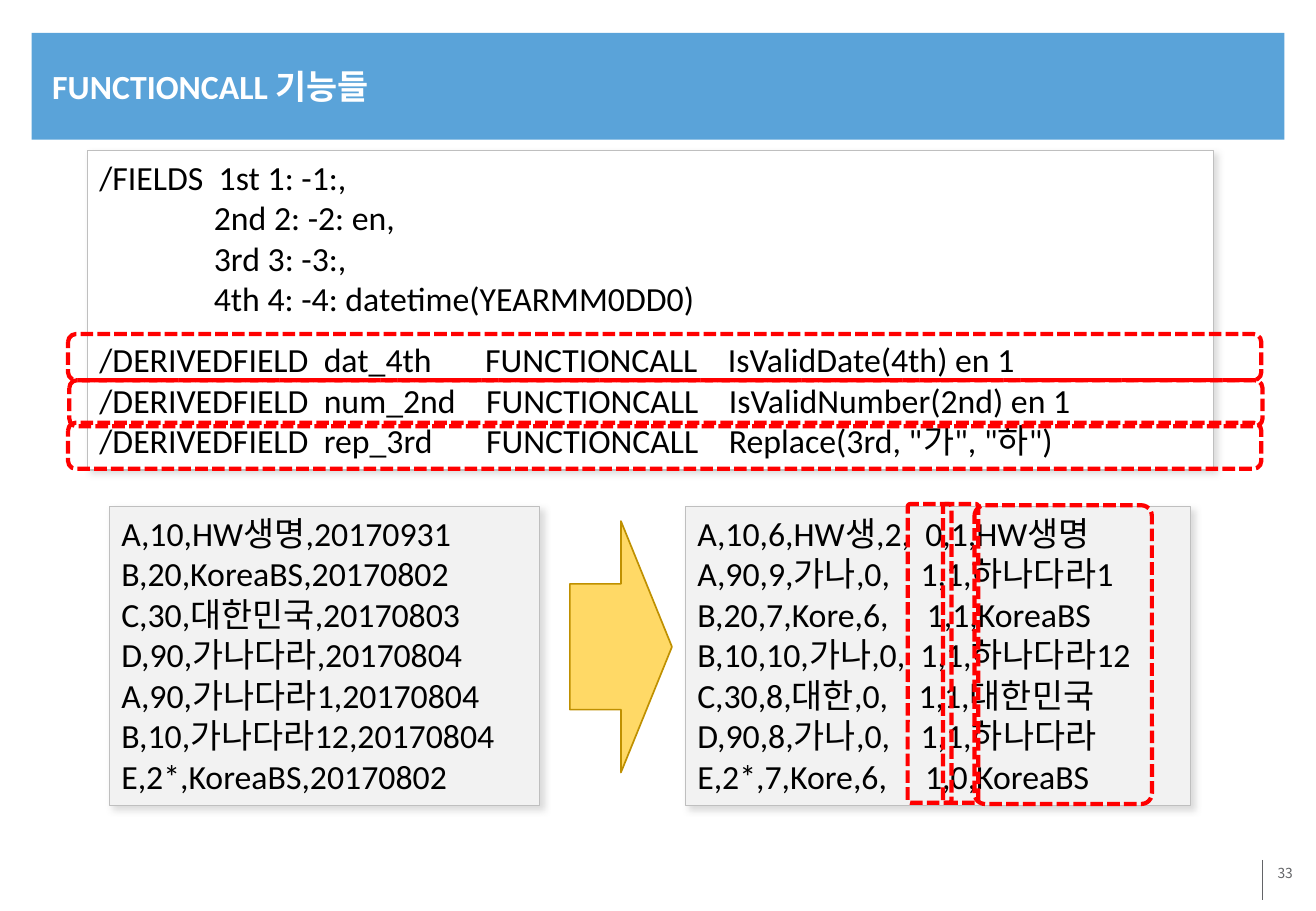
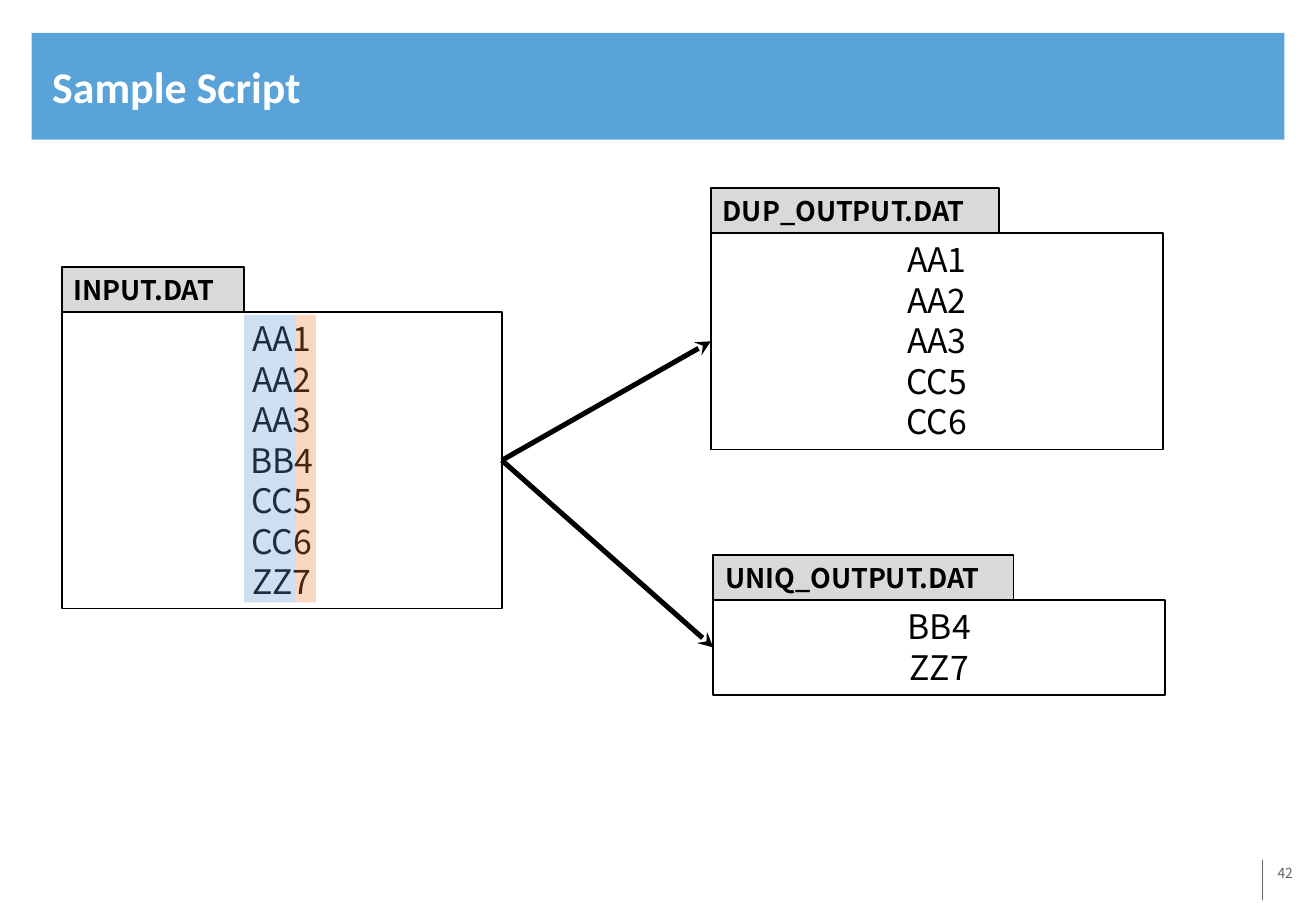
from lxml import etree
from pptx import Presentation
from pptx.dml.color import RGBColor
from pptx.enum.dml import MSO_LINE
from pptx.enum.shapes import MSO_CONNECTOR, MSO_SHAPE
from pptx.enum.text import MSO_ANCHOR, PP_ALIGN
from pptx.oxml.ns import qn
from pptx.util import Inches, Pt

RECTANGLE = MSO_SHAPE.RECTANGLE
ROUNDED = MSO_SHAPE.ROUNDED_RECTANGLE
RIGHT_ARROW = MSO_SHAPE.RIGHT_ARROW
STRAIGHT = MSO_CONNECTOR.STRAIGHT
SQUARE_DASH = MSO_LINE.SQUARE_DOT
LEFT, CENTER, RIGHT = PP_ALIGN.LEFT, PP_ALIGN.CENTER, PP_ALIGN.RIGHT
TOP, MIDDLE = MSO_ANCHOR.TOP, MSO_ANCHOR.MIDDLE
LEFT_SITE, RIGHT_SITE = 1, 3

LATIN_FONT = "Calibri"
KOREAN_FONT = "Noto Sans CJK KR"
COLORS = {
    "band": "5AA3D9",
    "white": "FFFFFF",
    "black": "000000",
    "footer": "636467",
    "panel": "F2F2F2",
    "panel_line": "BFBFBF",
    "shadow": "A6A6A6",
    "mark": "FF0000",
    "arrow": "FFD966",
    "arrow_line": "BF9000",
    "tag": "D9D9D9",
    "key": "5B9BD5",
    "sequence": "ED7D31",
}

SCRIPT_FIELDS = [
    "/FIELDS  1st 1: -1:,",
    "               2nd 2: -2: en,",
    "               3rd 3: -3:,",
    "               4th 4: -4: datetime(YEARMM0DD0)",
]
SCRIPT_CALLS = [
    "/DERIVEDFIELD  dat_4th       FUNCTIONCALL    IsValidDate(4th) en 1",
    "/DERIVEDFIELD  num_2nd    FUNCTIONCALL    IsValidNumber(2nd) en 1",
    '/DERIVEDFIELD  rep_3rd       FUNCTIONCALL    Replace(3rd, "가", "하")',
]
INPUT_ROWS = [
    "A,10,HW생명,20170931",
    "B,20,KoreaBS,20170802",
    "C,30,대한민국,20170803",
    "D,90,가나다라,20170804",
    "A,90,가나다라1,20170804",
    "B,10,가나다라12,20170804",
    "E,2*,KoreaBS,20170802",
]
OUTPUT_ROWS = [
    "A,10,6,HW생,2,  0,1,HW생명",
    "A,90,9,가나,0,    1,1,하나다라1",
    "B,20,7,Kore,6,     1,1,KoreaBS",
    "B,10,10,가나,0,  1,1,하나다라12",
    "C,30,8,대한,0,    1,1,대한민국",
    "D,90,8,가나,0,    1,1,하나다라",
    "E,2*,7,Kore,6,     1,0,KoreaBS",
]


def rgb(name):
    return RGBColor.from_string(COLORS[name])


def format_text(shape, size, font, color="black", bold=False, align=LEFT,
                anchor=TOP, line_spacing=None):
    frame = shape.text_frame
    frame.word_wrap = True
    frame.vertical_anchor = anchor
    for paragraph in frame.paragraphs:
        paragraph.alignment = align
        if line_spacing:
            paragraph.line_spacing = Pt(line_spacing)
        for run in paragraph.runs:
            run.font.size = Pt(size)
            run.font.bold = bold
            run.font.name = font
            run.font.color.rgb = rgb(color)
            properties = run._r.get_or_add_rPr()
            etree.SubElement(properties, qn("a:ea"), typeface=KOREAN_FONT)


def add_box(slide, kind, left, top, width, height, fill=None, line=None, line_width=1):
    shape = slide.shapes.add_shape(
        kind, Inches(left), Inches(top), Inches(width), Inches(height))
    shape.shadow.inherit = False
    if fill:
        shape.fill.solid()
        shape.fill.fore_color.rgb = rgb(fill)
    else:
        shape.fill.background()
    if line:
        shape.line.color.rgb = rgb(line)
        shape.line.width = Pt(line_width)
    else:
        shape.line.fill.background()
    return shape


def add_line(slide, start, end, color, width):
    line = slide.shapes.add_connector(STRAIGHT, *(Inches(v) for v in (*start, *end)))
    line.line.color.rgb = rgb(color)
    line.line.width = Pt(width)
    etree.SubElement(line._element.spPr, qn("a:effectLst"))
    return line


def add_slide(presentation, title_text, title_size, number):
    """Add a slide with the shared title band, page number and footer rule."""
    slide = presentation.slides.add_slide(presentation.slide_layouts[5])
    title = slide.shapes.title
    title.left, title.top = Inches(0.33), Inches(0.31)
    title.width, title.height = Inches(10.2), Inches(0.79)
    title.text_frame.text = title_text
    format_text(title, title_size, LATIN_FONT, "white", bold=True, anchor=MIDDLE)

    band = add_box(slide, RECTANGLE, 0.26, 0.27, 10.31, 0.88, "band")
    title.element.addprevious(band.element)

    page = slide.shapes.add_textbox(Inches(8.88), Inches(7.08), Inches(1.83), Inches(0.5))
    frame = page.text_frame
    frame.margin_left = frame.margin_right = Inches(0.07)
    frame.margin_top = frame.margin_bottom = Inches(0.04)
    frame.text = str(number)
    format_text(page, 8.2, KOREAN_FONT, "footer", align=RIGHT)
    add_line(slide, (10.39, 7.08), (10.39, 7.41), "footer", 0.75)
    return slide


def add_code_panel(slide, left, top, width, height, lines, fill):
    panel = add_box(slide, RECTANGLE, left, top, width, height, fill, "panel_line", 0.75)
    effects = panel._element.spPr.find(qn("a:effectLst"))
    shadow = etree.SubElement(
        effects, qn("a:outerShdw"), blurRad=str(Pt(4)), dist=str(Pt(3)),
        dir="2700000", algn="tl", rotWithShape="0")
    color = etree.SubElement(shadow, qn("a:srgbClr"), val=COLORS["shadow"])
    etree.SubElement(color, qn("a:alpha"), val="40000")
    panel.text_frame.text = "\n".join(lines)
    format_text(panel, 20, LATIN_FONT, line_spacing=24)
    return panel


def add_mark(slide, left, top, width, height, corner=0.17):
    """Add a dashed red outline around a part of the text."""
    mark = add_box(slide, ROUNDED, left, top, width, height, line="mark", line_width=2.5)
    mark.line.dash_style = SQUARE_DASH
    mark.adjustments[0] = corner


def add_data_file(slide, left, top, width, height, name, tag_width, rows):
    """Add a box of records with a name tag standing on its top edge."""
    box = add_box(slide, RECTANGLE, left, top, width, height, line="black")
    box.text_frame.text = "\n".join(rows)
    format_text(box, 20, KOREAN_FONT, align=CENTER, line_spacing=24)
    tag_height = 0.37
    tag = add_box(slide, RECTANGLE, left, top - tag_height, tag_width, tag_height,
                  "tag", "black")
    tag.text_frame.text = name
    format_text(tag, 16, KOREAN_FONT, bold=True, anchor=MIDDLE)
    return box


def add_flow(slide, source, target):
    arrow = add_line(slide, (0, 0), (1, 1), "black", 3)
    arrow.begin_connect(source, RIGHT_SITE)
    arrow.end_connect(target, LEFT_SITE)
    etree.SubElement(arrow.line._get_or_add_ln(), qn("a:tailEnd"), type="stealth")


def add_highlight(slide, left, width, color):
    strip = add_box(slide, RECTANGLE, left, 2.59, width, 2.37, color)
    fill_color = strip._element.spPr.find(qn("a:solidFill"))[0]
    etree.SubElement(fill_color, qn("a:alpha"), val="30000")


def build_function_slide(presentation):
    slide = add_slide(presentation, "FUNCTIONCALL 기능들", 20, 33)
    script = add_code_panel(slide, 0.72, 1.24, 9.27, 2.63,
                            SCRIPT_FIELDS + SCRIPT_CALLS, "white")
    script.text_frame.paragraphs[len(SCRIPT_FIELDS)].space_before = Pt(12)
    add_code_panel(slide, 0.9, 4.17, 3.54, 2.46, INPUT_ROWS, "panel")
    add_code_panel(slide, 5.64, 4.17, 4.16, 2.46, OUTPUT_ROWS, "panel")
    add_box(slide, RIGHT_ARROW, 4.69, 4.29, 0.84, 2.07, "arrow", "arrow_line")

    for left, top in ((0.56, 2.75), (0.57, 3.13), (0.56, 3.48)):
        add_mark(slide, left, top, 9.82, 0.38)
    for left, top, width in ((7.47, 4.15, 0.36), (7.76, 4.15, 0.29), (8.02, 4.16, 1.46)):
        add_mark(slide, left, top, width, 2.46, corner=0.06)


def build_sample_slide(presentation):
    slide = add_slide(presentation, "Sample Script", 26, 42)
    source = add_data_file(slide, 0.51, 2.57, 3.62, 2.44, "INPUT.DAT", 1.5,
                           ["AA1", "AA2", "AA3", "BB4", "CC5", "CC6", "ZZ7"])
    duplicates = add_data_file(slide, 5.85, 1.92, 3.72, 1.78, "DUP_OUTPUT.DAT", 2.37,
                               ["AA1", "AA2", "AA3", "CC5", "CC6"])
    uniques = add_data_file(slide, 5.87, 4.94, 3.72, 0.78, "UNIQ_OUTPUT.DAT", 2.47,
                            ["BB4", "ZZ7"])
    for target in (duplicates, uniques):
        add_flow(slide, source, target)
    add_highlight(slide, 2.01, 0.42, "key")
    add_highlight(slide, 2.43, 0.17, "sequence")


def main():
    presentation = Presentation()
    presentation.slide_width = Inches(10.83)
    presentation.slide_height = Inches(7.5)
    build_function_slide(presentation)
    build_sample_slide(presentation)
    presentation.save("out.pptx")


if __name__ == "__main__":
    main()
